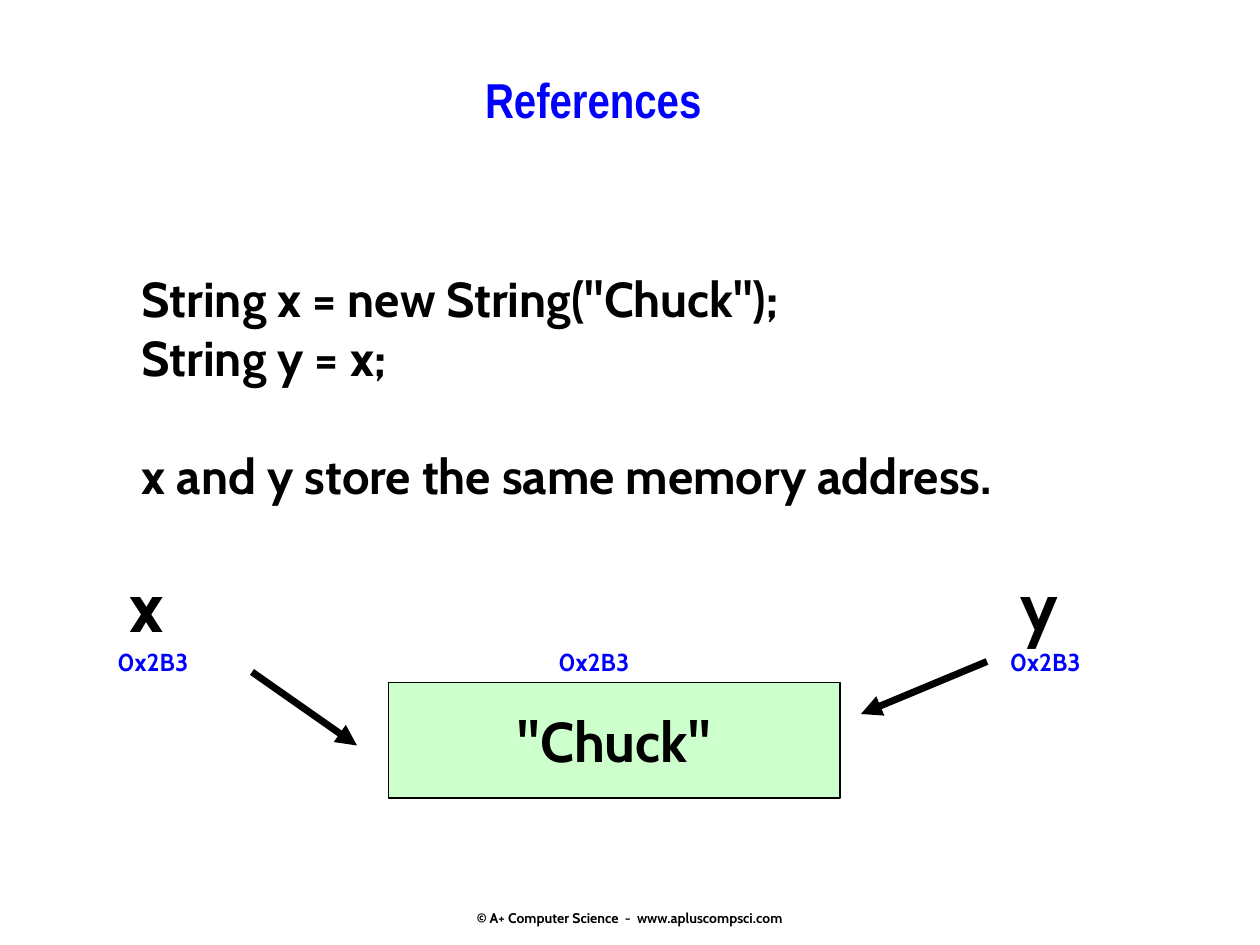
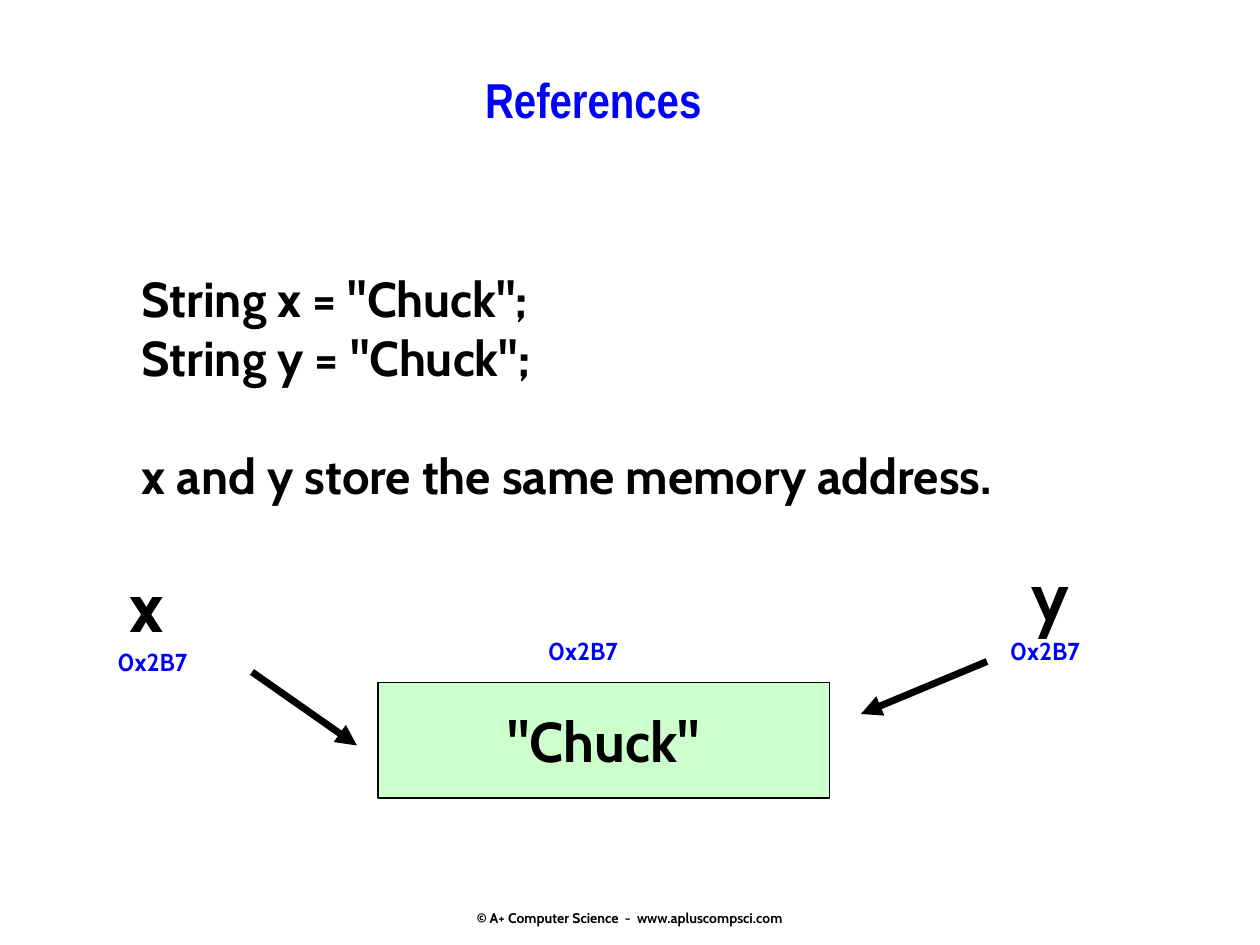
from lxml import etree
from pptx import Presentation
from pptx import util as u
from pptx.dml.color import RGBColor
from pptx.enum import shapes, text
from pptx.oxml.ns import qn

Pt = u.Pt
LEFT, MID = text.PP_ALIGN.LEFT, text.PP_ALIGN.CENTER
TOP, HALF = text.MSO_ANCHOR.TOP, text.MSO_ANCHOR.MIDDLE


def shade(code):
    return RGBColor.from_string(code)


class Deck:
    """Holds the shared style and the slide being drawn."""

    ink, blue, mint = "000000", "0000FF", "CCFFCC"
    face, head = "Cabin", "Arial Narrow"
    credit = "© A+ Computer Science  -  www.apluscompsci.com"

    def __init__(self):
        self.prs = Presentation()
        self.prs.slide_width, self.prs.slide_height = Pt(720), Pt(540)

    def start(self, title):
        self.page = self.prs.slides.add_slide(self.prs.slide_layouts[5])
        shape = self.page.shapes.title
        shape.left, shape.top, shape.width, shape.height = Pt(84), Pt(36), Pt(510), Pt(60)
        self.style(shape, title, 28, self.blue, MID, face=self.head)
        self.label(self.credit, 246, 516, 228, 17, 8, align=MID, anchor=HALF)

    def style(self, shape, words, size, color, align=LEFT, anchor=TOP, face=face):
        frame = shape.text_frame
        frame.text = words
        frame.word_wrap = True
        frame.auto_size = text.MSO_AUTO_SIZE.NONE
        frame.vertical_anchor = anchor
        for para in frame.paragraphs:
            para.alignment = align
            for run in para.runs:
                font = run.font
                font.size, font.bold, font.name = Pt(size), True, face
                font.color.rgb = shade(color)
        return frame

    def label(self, words, x, y, w, h, size, color=ink, align=LEFT, anchor=TOP):
        box = self.page.shapes.add_textbox(Pt(x), Pt(y), Pt(w), Pt(h))
        return self.style(box, words, size, color, align, anchor)

    def code(self, lines, note):
        frame = self.label("\n".join([*lines, note]), 74, 150, 579, 142, 28)
        frame.paragraphs[-1].space_before = Pt(34)

    def name(self, words, x, y):
        self.label(words, x, y, 37, 55, 40)

    def address(self, words, x, y):
        self.label(words, x, y, 66, 24, 14, self.blue)

    def block(self, words, x, y):
        box = self.page.shapes.add_shape(
            shapes.MSO_SHAPE.RECTANGLE, Pt(x), Pt(y), Pt(258), Pt(66))
        box.shadow.inherit = False
        box.fill.solid()
        box.fill.fore_color.rgb = shade(self.mint)
        box.line.color.rgb = shade(self.ink)
        box.line.width = Pt(0.75)
        self.style(box, words, 32, self.ink, MID, HALF)

    def arrow(self, *ends):
        line = self.page.shapes.add_connector(
            shapes.MSO_CONNECTOR.STRAIGHT, *map(Pt, ends))
        line.line.color.rgb = shade(self.ink)
        line.line.width = Pt(4)
        props = line._element.spPr
        etree.SubElement(props.find(qn("a:ln")), qn("a:tailEnd"), type="triangle")
        etree.SubElement(props, qn("a:effectLst"))

    def memory(self, lines, spot, shift, right):
        self.start("References")
        self.code(lines, "x and y store the same memory address.")
        self.block('"Chuck"', 222 - shift, 390)
        self.name("x", 67, 318)
        self.name("y", right, 318 - shift)
        self.arrow(144, 384, 204, 426)
        self.arrow(564, 378, 492, 408)
        self.address(spot, 60, 366)
        self.address(spot, 312 - shift, 366 - shift)
        self.address(spot, 570, 366 - shift)


def main():
    deck = Deck()
    deck.memory(['String x = new String("Chuck");', "String y = x;"], "0x2B3", 0, 576)
    deck.memory(['String x = "Chuck";', 'String y = "Chuck";'], "0x2B7", 6, 582.5)
    deck.prs.save("out.pptx")


if __name__ == "__main__":
    main()
